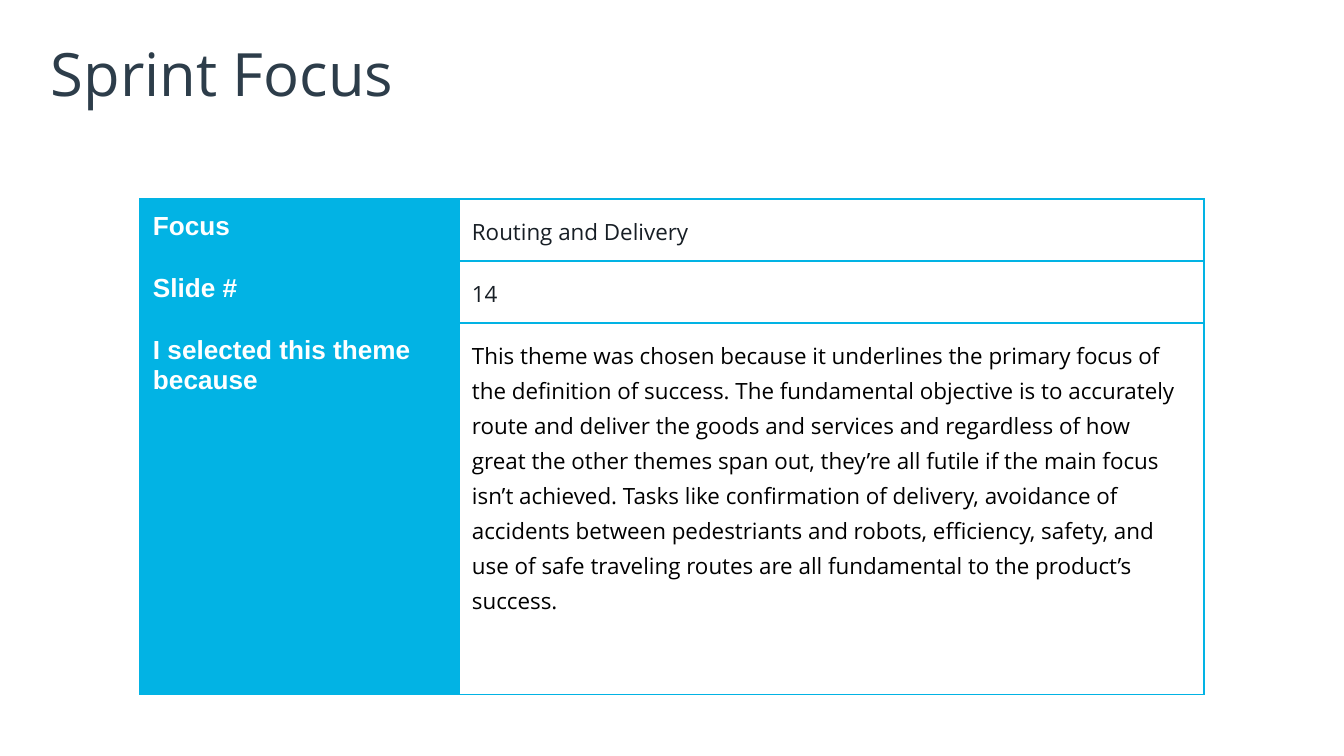
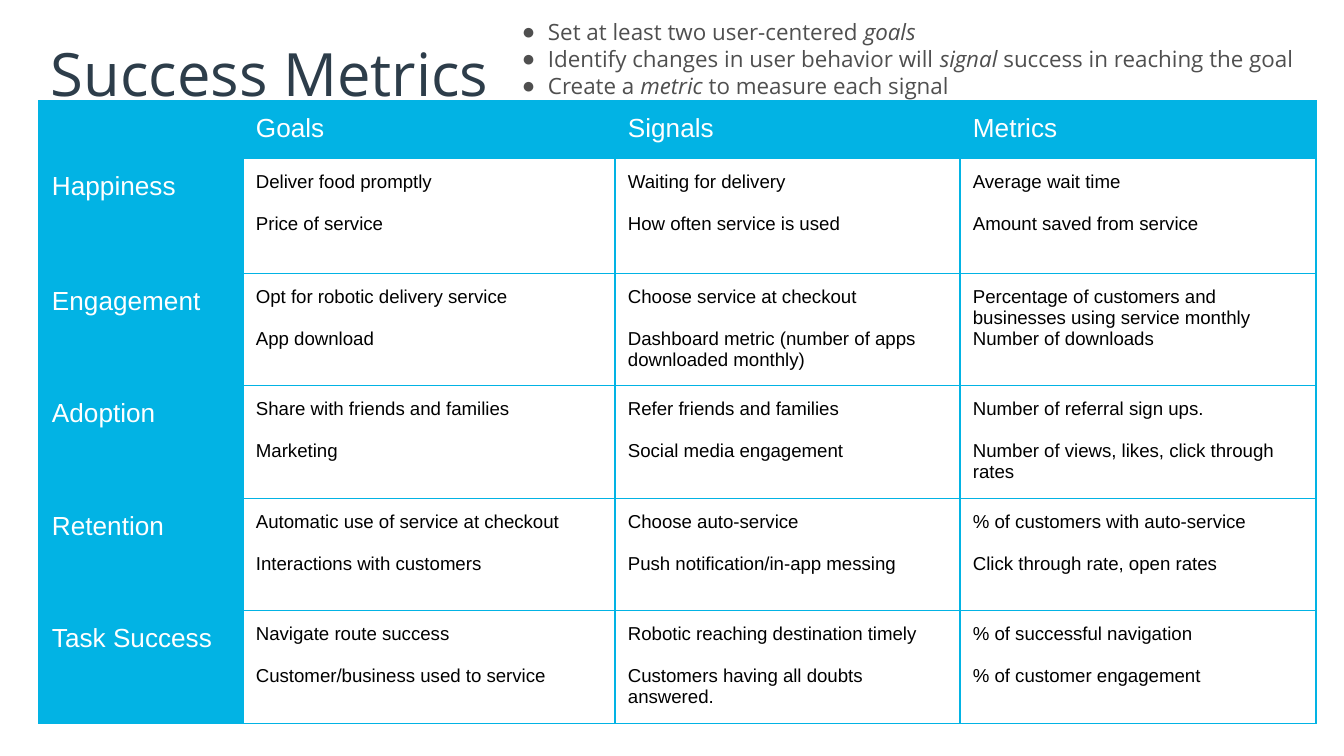
from lxml import etree
from pptx import Presentation
from pptx.dml.color import RGBColor
from pptx.enum.text import MSO_ANCHOR, MSO_AUTO_SIZE, PP_ALIGN
from pptx.oxml.ns import qn
from pptx.util import Emu, Pt

LEFT = PP_ALIGN.LEFT
TOP, MIDDLE = MSO_ANCHOR.TOP, MSO_ANCHOR.MIDDLE
NO_FIT = MSO_AUTO_SIZE.NONE
BODY_LAYOUT, TITLE_LAYOUT = 1, 5

# Shared look
EMU_PER_PX = 914400 / 134.4
COLORS = {"cyan": "02B3E4", "title": "2D3D4A", "ink": "171E25",
          "black": "000000", "grey": "4F4F4F", "white": "FFFFFF"}
SANS, DISPLAY = "Arial", "Open Sans"
TITLE_INSET, INSET = 5, 13
ENTRY_GAP = 11.5

# Sprint Focus content
FOCUS_ROWS = [
    ("Focus", "Routing and Delivery", "ink"),
    ("Slide #", "14", "ink"),
    ("I selected this theme because",
     "This theme was chosen because it underlines the primary focus of the "
     "definition of success. The fundamental objective is to accurately route "
     "and deliver the goods and services and regardless of how great the other "
     "themes span out, they’re all futile if the main focus isn’t achieved. "
     "Tasks like confirmation of delivery, avoidance of accidents between "
     "pedestriants and robots, efficiency, safety, and use of safe traveling "
     "routes are all fundamental to the product’s success.", "black"),
]

# Success Metrics content: each cell holds two entries
METRIC_HEADS = ["", "Goals", "Signals", "Metrics"]
METRIC_ROWS = [
    ("Happiness",
     ("Deliver food promptly", "Price of service"),
     ("Waiting for delivery", "How often service is used"),
     ("Average wait time", "Amount saved from service")),
    ("Engagement",
     ("Opt for robotic delivery service", "App download"),
     ("Choose service at checkout",
      "Dashboard metric (number of apps downloaded monthly)"),
     ("Percentage of customers and businesses using service monthly",
      "Number of downloads")),
    ("Adoption",
     ("Share with friends and families", "Marketing"),
     ("Refer friends and families", "Social media engagement"),
     ("Number of referral sign ups.",
      "Number of views, likes, click through rates")),
    ("Retention",
     ("Automatic use of service at checkout", "Interactions with customers"),
     ("Choose auto-service", "Push notification/in-app messing"),
     ("% of customers with auto-service", "Click through rate, open rates")),
    ("Task Success",
     ("Navigate route success", "Customer/business used to service"),
     ("Robotic reaching destination timely",
      "Customers having all doubts answered."),
     ("% of successful navigation", "% of customer engagement")),
]
TIGHT_ENTRIES = {"Number of downloads"}

# Guidance bullets: (text, italic) spans
GUIDANCE = [
    [("Set at least two user-centered ", False), ("goals", True)],
    [("Identify changes in user behavior will ", False), ("signal", True),
     (" success in reaching the goal", False)],
    [("Create a ", False), ("metric", True),
     (" to measure each signal", False)],
]


def px(length):
    return Emu(round(length * EMU_PER_PX))


def add_span(para, text, size, font, color, bold=False, italic=False):
    span = para.add_run()
    span.text = text
    span.font.size = Pt(size)
    span.font.name = font
    span.font.bold = bold
    span.font.italic = italic
    span.font.color.rgb = RGBColor.from_string(COLORS[color])


def place(box, left, top, width, height, inset, anchor):
    box.left, box.top, box.width, box.height = map(px, (left, top, width, height))
    frame = box.text_frame
    frame.word_wrap = True
    frame.auto_size = NO_FIT
    frame.vertical_anchor = anchor
    frame.margin_left = frame.margin_right = px(inset)
    frame.margin_top = frame.margin_bottom = px(inset)
    return frame


def add_title_slide(deck, layout, title, width):
    slide = deck.slides.add_slide(deck.slide_layouts[layout])
    frame = place(slide.shapes.title, 46, 30, width, 85, TITLE_INSET, MIDDLE)
    para = frame.paragraphs[0]
    para.alignment = LEFT
    add_span(para, title, 32, DISPLAY, "title")
    return slide


def add_grid(slide, left, top, widths, heights):
    frame = slide.shapes.add_table(len(heights), len(widths), px(left), px(top),
                                   px(sum(widths)), px(sum(heights)))
    table = frame.table
    table.first_row = table.horz_banding = False
    for column, width in zip(table.columns, widths):
        column.width = px(width)
    for row, height in zip(table.rows, heights):
        row.height = px(height)
    return table


def add_borders(cell):
    properties = cell._tc.get_or_add_tcPr()
    for index, side in enumerate(("a:lnL", "a:lnR", "a:lnT", "a:lnB")):
        line = etree.Element(qn(side), w=str(Pt(0.75)))
        fill = etree.SubElement(line, qn("a:solidFill"))
        etree.SubElement(fill, qn("a:srgbClr"), val=COLORS["cyan"])
        properties.insert(index, line)


def fill_cell(cell, entries, size, font, color, header=False, bold=False,
              spacing=1.0):
    cell.margin_left = cell.margin_right = px(INSET)
    cell.margin_top = cell.margin_bottom = px(INSET)
    cell.vertical_anchor = TOP
    if header:
        cell.fill.solid()
        cell.fill.fore_color.rgb = RGBColor.from_string(COLORS["cyan"])
    else:
        cell.fill.background()
    add_borders(cell)
    frame = cell.text_frame
    for index, entry in enumerate(entries):
        para = frame.add_paragraph() if index else frame.paragraphs[0]
        para.line_spacing = spacing
        if index and entry not in TIGHT_ENTRIES:
            para.space_before = Pt(ENTRY_GAP)
        if entry:
            add_span(para, entry, size, font, color, bold)
        else:
            # An empty cell keeps the text size so its row does not grow
            etree.SubElement(para._p, qn("a:endParaRPr"), sz=str(size * 100))


def fill_header(cell, text, bold=False):
    fill_cell(cell, [text], 14, SANS, "white", header=True, bold=bold)


def add_bullet(para):
    properties = para._p.get_or_add_pPr()
    properties.set("marL", str(px(26)))
    properties.set("indent", str(-px(26)))
    color = etree.SubElement(properties, qn("a:buClr"))
    etree.SubElement(color, qn("a:srgbClr"), val=COLORS["grey"])
    etree.SubElement(properties, qn("a:buFont"), typeface=SANS)
    etree.SubElement(properties, qn("a:buChar"), char="●")


def add_guidance(box):
    frame = place(box, 509, 5, 829, 98, INSET, TOP)
    for index, spans in enumerate(GUIDANCE):
        para = frame.add_paragraph() if index else frame.paragraphs[0]
        add_bullet(para)
        para.alignment = LEFT
        para.line_spacing = Pt(14.5)
        para.space_before = Pt(0)
        for text, italic in spans:
            add_span(para, text, 12, DISPLAY, "grey", italic=italic)


def build_focus(deck):
    slide = add_title_slide(deck, TITLE_LAYOUT, "Sprint Focus", 1253)
    table = add_grid(slide, 140, 199, [319, 745], [62, 62, 372])
    for row, (label, text, color) in enumerate(FOCUS_ROWS):
        fill_header(table.cell(row, 0), label, bold=True)
        fill_cell(table.cell(row, 1), [text], 12, DISPLAY, color, spacing=1.15)


def build_metrics(deck):
    slide = add_title_slide(deck, BODY_LAYOUT, "Success Metrics", 450)
    table = add_grid(slide, 39, 101, [204, 372, 345, 356],
                     [55, 115] + [112, 113] * 2)
    for column, head in enumerate(METRIC_HEADS):
        fill_header(table.cell(0, column), head)
    for row, (label, *cells) in enumerate(METRIC_ROWS, start=1):
        fill_header(table.cell(row, 0), label)
        for column, entries in enumerate(cells, start=1):
            fill_cell(table.cell(row, column), entries, 10, SANS, "black")
    add_guidance(slide.placeholders[1])


def main():
    deck = Presentation()
    deck.slide_width, deck.slide_height = px(1344), px(756)
    build_focus(deck)
    build_metrics(deck)
    deck.save("out.pptx")


if __name__ == "__main__":
    main()
